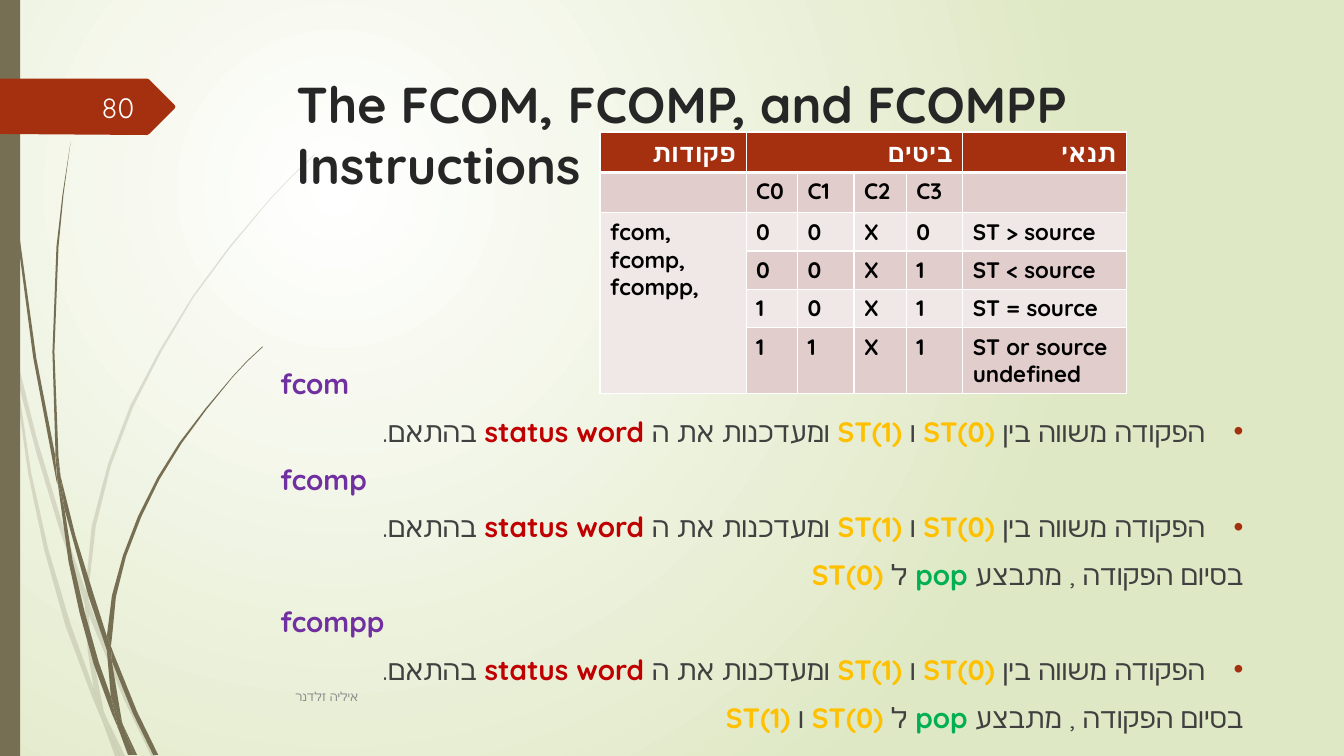
import dataclasses
import typing

import lxml.etree
import pptx
import pptx.dml.color
import pptx.enum.shapes
import pptx.enum.text
import pptx.oxml.ns
import pptx.util

CELL = 9144
qn = pptx.oxml.ns.qn
make = lxml.etree.SubElement
ALIGN = pptx.enum.text.PP_ALIGN
ANCHOR = pptx.enum.text.MSO_ANCHOR


@dataclasses.dataclass(frozen=True)
class Theme:
    font: str = "Quicksand"
    white: str = "FFFFFF"
    black: str = "000000"
    sage: str = "DFE8C4"
    olive: str = "766F54"
    rust: str = "A53010"
    ink: str = "262626"
    text: str = "404040"
    gray: str = "8C8C8C"
    page: str = "FEFFFF"
    violet: str = "7030A0"
    gold: str = "FFC000"
    red: str = "C00000"
    green: str = "00B050"
    bands: tuple[str, str] = ("E1CDCC", "F0E8E7")
    title: int = 36
    body: int = 20
    head: int = 18
    grid: int = 16
    foot: int = 9


LOOK = Theme()


class Run(typing.NamedTuple):
    text: str
    hue: str
    size: float = LOOK.body
    bold: bool = False


class Para(typing.NamedTuple):
    runs: list[Run]
    right: bool = False
    rtl: bool = False
    dot: bool = False
    gap: int = 0


class Box(typing.NamedTuple):
    col: int
    row: int
    wide: int
    high: int
    paras: list[Para]
    anchor: typing.Any = ANCHOR.TOP


class Tuft(typing.NamedTuple):
    alpha: int
    blades: list[str]


BACK = Tuft(20, [
    "11,350 9,322 0,282 0,299 10,344",
    "58,522 84,599 85,586 62,520 36,433 14,345 17,376 36,449",
    "92,607 88,596 88,610 123,694 150,750 155,750 127,692",
    "119,750 124,750 105,711",
    "93,683 70,619 48,545 31,469 17,376 11,350 28,470 44,546 65,621 92,693 101,714 99,707",
    "84,599 87,646 93,683 96,692 105,711 103,706 91,646 88,610 88,608",
    "88,584 95,522 110,462 132,404 160,349 192,295 229,245 268,198 290,175 312,154 312,153 "
    "289,175 268,197 228,244 191,294 158,348 129,403 107,461 91,522 85,584 85,586 88,596",
    "101,714 114,750 119,750",
    "88,608 88,610 88,596 85,586 84,599",
    "96,692 93,683 99,707 101,714 119,750 105,711",
])
FRONT = Tuft(100, [
    "7,110 17,233 33,355 56,477 57,481 55,457 55,453 36,355 19,232 8,109 5,48 4,0 3,0 4,48",
    "88,592 106,645 106,633 106,631 93,590 75,532 60,472 64,505",
    "113,649 110,641 111,656 132,708 152,749 157,749 136,706",
    "110,691 98,657 84,607 72,556 64,505 57,477 68,557 79,608 93,659 111,708 117,722 116,717",
    "60,472 58,453 54,349 58,245 63,193 70,141 62,193 56,245 52,349 55,449",
    "133,749 136,749 122,719",
    "57,477 64,505 60,472 55,449 55,453",
    "111,633 115,592 125,552 140,513 158,476 180,440 205,406 231,374 245,359 261,344 260,344 "
    "245,358 231,373 204,405 178,439 156,474 137,512 122,551 111,591 106,631 110,641",
    "117,722 127,749 131,749",
    "106,645 110,691 116,706 122,719 121,716 111,656 109,651",
    "106,645 109,651 111,656 110,641 106,631 106,633",
    "116,706 110,691 116,717 117,722 130,749 133,749 122,719",
])
FLAG = "0,78 146,78 148,79 173,104 174,106 173,108 148,133 146,134 0,133"

COLS = [145, 51, 56, 52, 56, 162]
ROWS = [36, 38, 38, 38, 38, 65]
GRID = [
    ["פקודות", "ביטים", "", "", "", "תנאי"],
    ["", "C0", "C1", "C2", "C3", ""],
    ["fcom, fcomp, fcompp,", "0", "0", "X", "0", "ST > source"],
    ["", "0", "0", "X", "1", "ST < source"],
    ["", "1", "0", "X", "1", "ST = source"],
    ["", "1", "1", "X", "1", "ST or source undefined"],
]


def plain(text: str) -> Run:
    return Run(text, LOOK.text)


def strong(text: str, hue: str) -> Run:
    return Run(text, hue, bold=True)


def name(text: str) -> Para:
    return Para([strong(text, LOOK.violet)], gap=10)


def match() -> Para:
    runs = [plain("הפקודה משווה בין "), strong("ST(0)", LOOK.gold), plain(" ו "),
            strong("ST(1)", LOOK.gold), plain(" ומעדכנות את ה "),
            strong("status word ", LOOK.red), plain("בהתאם.")]
    return Para(runs, True, True, True, 10)


def drop(*tail: Run) -> Para:
    runs = [plain("בסיום הפקודה , מתבצע "), strong("pop", LOOK.green), plain(" ל "),
            strong("ST(0)", LOOK.gold), *tail]
    return Para(runs, True, True, gap=10)


def tint(hue: str) -> pptx.dml.color.RGBColor:
    return pptx.dml.color.RGBColor.from_string(hue)


def write(frame: typing.Any, paras: list[Para]) -> None:
    frame.word_wrap = True
    for turn, para in enumerate(paras):
        line = frame.add_paragraph() if turn else frame.paragraphs[0]
        line.alignment = ALIGN.RIGHT if para.right else ALIGN.LEFT
        line.space_before = pptx.util.Pt(para.gap)
        props = line._p.get_or_add_pPr()
        if para.rtl:
            props.set("rtl", "1")
        if para.dot:
            props.set("marL", str(38 * CELL))
            props.set("indent", str(-38 * CELL))
            make(make(props, qn("a:buClr")), qn("a:srgbClr"), val=LOOK.rust)
            make(props, qn("a:buFont"), typeface="Arial")
            make(props, qn("a:buChar"), char="•")
        for part in para.runs:
            run = line.add_run()
            run.text = part.text
            run.font.size = pptx.util.Pt(part.size)
            run.font.bold = part.bold
            run.font.color.rgb = tint(part.hue)
            run.font.name = LOOK.font
            make(run._r.get_or_add_rPr(), qn("a:cs"), typeface=LOOK.font)


def paint(shape: typing.Any, hue: str, alpha: int = 100) -> None:
    shape.shadow.inherit = False
    shape.line.fill.background()
    shape.fill.solid()
    shape.fill.fore_color.rgb = tint(hue)
    if alpha < 100:
        color = shape._element.spPr.find(".//" + qn("a:srgbClr"))
        make(color, qn("a:alpha"), val=str(alpha * 1000))


def trace(shapes: typing.Any, dots: str, hue: str, alpha: int = 100) -> None:
    start, *rest = [tuple(map(int, dot.split(","))) for dot in dots.split()]
    pen = shapes.build_freeform(*start, scale=CELL)
    pen.add_line_segments(rest, close=True)
    paint(pen.convert_to_shape(), hue, alpha)


def place(slide: typing.Any, box: Box) -> None:
    spot = [CELL * side for side in (box.col, box.row, box.wide, box.high)]
    frame = slide.shapes.add_textbox(*spot).text_frame
    frame.vertical_anchor = box.anchor
    write(frame, box.paras)


def wash(slide: typing.Any) -> None:
    fill = slide.background.fill
    fill.gradient()
    for stop, hue in zip(fill.gradient_stops, (LOOK.white, LOOK.sage)):
        stop.color.rgb = tint(hue)
    grad = slide._element.find(".//" + qn("a:gradFill"))
    grad.remove(grad.find(qn("a:lin")))
    focus = make(grad, qn("a:path"), {"path": "circle"})
    make(focus, qn("a:fillToRect"), l="50000", t="50000", r="100000", b="100000")


def edge(cell: typing.Any, head: bool) -> None:
    props = cell._tc.get_or_add_tcPr()
    for turn, side in enumerate("LRTB"):
        wide = 3 if head and side == "B" else 1
        line = lxml.etree.Element(qn("a:ln" + side), w=str(pptx.util.Pt(wide)))
        make(make(line, qn("a:solidFill")), qn("a:srgbClr"), val=LOOK.white)
        props.insert(turn, line)


def chart(slide: typing.Any) -> None:
    area = [CELL * side for side in (595, 131, sum(COLS), sum(ROWS))]
    table = slide.shapes.add_table(len(ROWS), len(COLS), *area).table
    for col, wide in zip(table.columns, COLS):
        col.width = CELL * wide
    for y, high in enumerate(ROWS):
        table.rows[y].height = CELL * high
        head = y == 0
        for x, text in enumerate(GRID[y]):
            cell = table.cell(y, x)
            cell.fill.solid()
            band = 1 if x == 0 and y > 1 else (y + 1) % 2
            cell.fill.fore_color.rgb = tint(LOOK.rust if head else LOOK.bands[band])
            edge(cell, head)
            if text:
                hue, size = (LOOK.white, LOOK.head) if head else (LOOK.black, LOOK.grid)
                write(cell.text_frame, [Para([Run(text, hue, size, True)], head, head)])
    table.cell(0, 1).merge(table.cell(0, 4))
    table.cell(2, 0).merge(table.cell(5, 0))


def main() -> None:
    deck = pptx.Presentation()
    deck.slide_width, deck.slide_height = 1333 * CELL, 750 * CELL
    slide = deck.slides.add_slide(deck.slide_layouts[6])
    wash(slide)
    for tuft in (BACK, FRONT):
        group = slide.shapes.add_group_shape()
        for blade in tuft.blades:
            trace(group.shapes, blade, LOOK.olive, tuft.alpha)
    kind = pptx.enum.shapes.MSO_SHAPE.RECTANGLE
    paint(slide.shapes.add_shape(kind, 0, 0, 20 * CELL, 750 * CELL), LOOK.olive)
    trace(slide.shapes, FLAG, LOOK.rust)
    title = Run("The FCOM, FCOMP, and FCOMPP Instructions", LOOK.ink, LOOK.title, True)
    body = [name("fcom"), match(), name("fcomp"), match(), drop(), name("fcompp"), match(),
            drop(plain(" ו "), strong("ST(1)", LOOK.gold))]
    foot = Run("איליה זלדנר", LOOK.gray, LOOK.foot)
    for box in (
        Box(284, 68, 975, 140, [Para([title])]),
        Box(268, 359, 975, 413, body),
        Box(283, 671, 833, 40, [Para([foot])], ANCHOR.MIDDLE),
        Box(58, 86, 85, 40, [Para([Run("80", LOOK.page)], True)], ANCHOR.MIDDLE),
    ):
        place(slide, box)
    chart(slide)
    deck.save("out.pptx")


if __name__ == "__main__":
    main()
